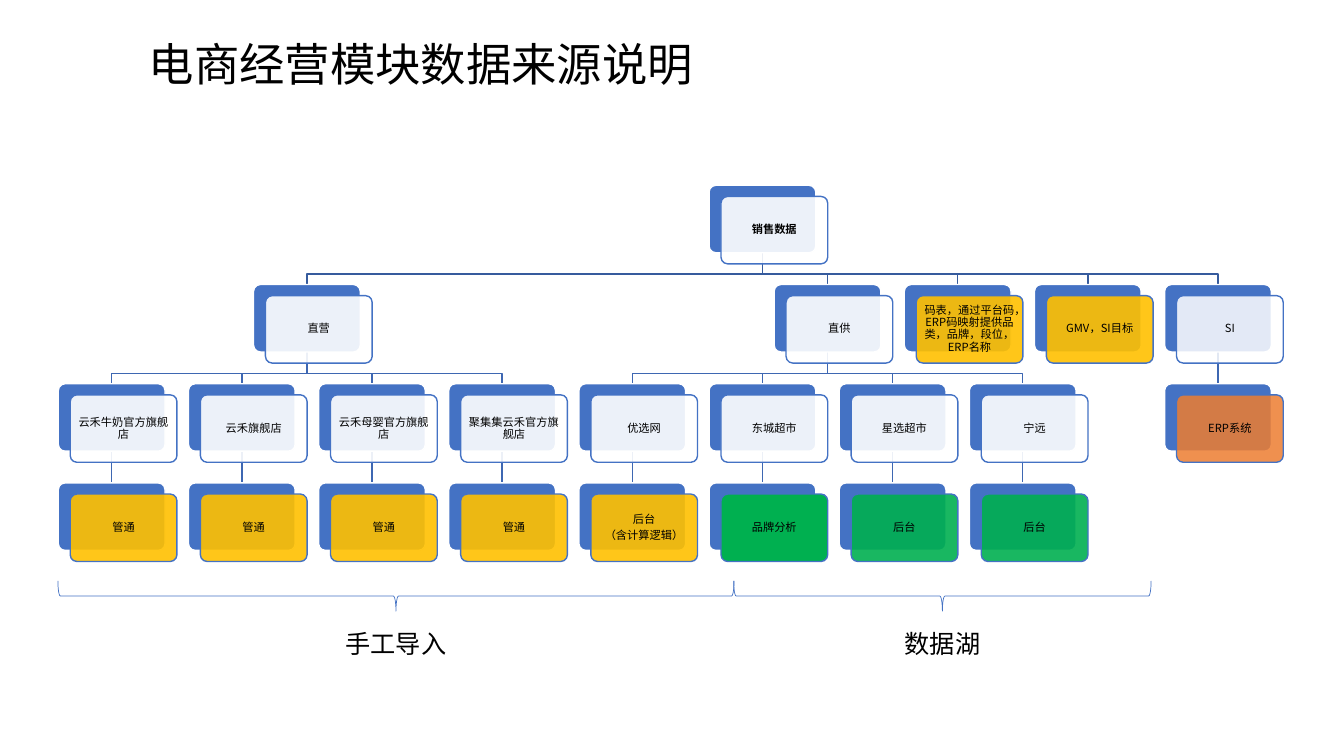
from dataclasses import dataclass
from typing import Iterator, Optional

from lxml import etree
from pptx import Presentation
from pptx.dml import color as dml
from pptx.enum import shapes, text
from pptx.oxml import ns
from pptx.util import Cm, Pt


@dataclass(frozen=True)
class Theme:
    """Colours, font and type sizes of the slide."""
    font: str = "Noto Sans CJK SC"
    ink: str = "000000"
    white: str = "FFFFFF"
    blue: str = "4472C4"
    trunk: str = "365B9D"
    branch: str = "3E67B2"
    manual: str = "FFC000"
    lake: str = "00B050"
    system: str = "ED7D31"
    title_size: float = 32.4
    caption_size: float = 18
    node_size: float = 8


@dataclass(frozen=True)
class Node:
    """A data source; a parent sits midway between its outer children."""
    label: str
    children: tuple["Node", ...] = ()
    leaf_column: float = 0
    fill: str = Theme.white
    opacity: int = 90

    @property
    def column(self) -> float:
        """Return the position counted in column steps."""
        if not self.children:
            return self.leaf_column
        return (self.children[0].column + self.children[-1].column) / 2


@dataclass(frozen=True)
class Span:
    """A brace under the tree, with its caption."""
    label: str
    left: float
    width: float


THEME = Theme()

# Tree grid, in centimetres
TREE_LEFT, TREE_TOP = 1.47, 4.67
COLUMN_STEP, ROW_STEP = 3.28, 2.5
BOX_W, BOX_H = 2.69, 1.7
CARD_DX, CARD_DY = 0.3, 0.28
ELBOW_DROP = 0.54

# Braces, in centimetres
BRACE_TOP, BRACE_DEPTH, CAPTION_TOP = 14.64, 0.76, 15.7


def shop(label: str, column: int, origin: str, fill: str, opacity: int = 90) -> Node:
    """Return a shop with the single origin of its data below it."""
    return Node(label, (Node(origin, (), column, fill, opacity),))


DIRECT_SHOPS = ("云禾牛奶官方旗舰店", "云禾旗舰店", "云禾母婴官方旗舰店", "聚集集云禾官方旗舰店")
SALES = Node("销售数据", (
    Node("直营", tuple(shop(name, column, "管通", THEME.manual)
                     for column, name in enumerate(DIRECT_SHOPS))),
    Node("直供", (
        shop("优选网", 4, "后台\n（含计算逻辑）", THEME.manual),
        shop("东城超市", 5, "品牌分析", THEME.lake, 100),
        shop("星选超市", 6, "后台", THEME.lake),
        shop("宁远", 7, "后台", THEME.lake),
    )),
    Node("码表，通过平台码，ERP码映射提供品类，品牌，段位，ERP名称", (), 6.5, THEME.manual),
    Node("GMV，SI目标", (), 7.5, THEME.manual),
    Node("SI", (Node("ERP系统", (), 8.5, THEME.system, 85),), opacity=85),
))
SPANS = (Span("手工导入", 1.46, 17.04), Span("数据湖", 18.49, 10.52))


def rgb(code: str) -> dml.RGBColor:
    """Return the colour for a hex code."""
    return dml.RGBColor.from_string(code)


def write(shape, content: str, *, size: float, bold: bool = False, align=None,
          anchor=text.MSO_ANCHOR.TOP, spacing: float = 1.0, after: float = 0,
          inset: Optional[float] = None) -> None:
    """Write text into a shape, one paragraph per line."""
    frame = shape.text_frame
    frame.word_wrap = True
    frame.vertical_anchor = anchor
    if inset is not None:
        frame.margin_left = frame.margin_right = Cm(inset)
        frame.margin_top = frame.margin_bottom = Cm(inset)
    frame.text = content
    for paragraph in frame.paragraphs:
        paragraph.alignment = align
        paragraph.line_spacing = spacing
        paragraph.space_after = Pt(after)
        for run in paragraph.runs:
            font = run.font
            font.name, font.size, font.bold = THEME.font, Pt(size), bold
            font.color.rgb = rgb(THEME.ink)
            east_asian = etree.SubElement(run._r.get_or_add_rPr(), ns.qn("a:ea"))
            east_asian.set("typeface", THEME.font)


def add_box(slide, left: float, top: float, fill: str, line: str, opacity: int = 100):
    """Add one rounded box of the tree and return it."""
    box = slide.shapes.add_shape(shapes.MSO_SHAPE.ROUNDED_RECTANGLE,
                                 Cm(left), Cm(top), Cm(BOX_W), Cm(BOX_H))
    box.shadow.inherit = False
    box.adjustments[0] = 0.1
    box.fill.solid()
    box.fill.fore_color.rgb = rgb(fill)
    box.line.color.rgb = rgb(line)
    box.line.width = Pt(1)
    if opacity < 100:
        tint = box._element.spPr.find(ns.qn("a:solidFill"))[0]
        etree.SubElement(tint, ns.qn("a:alpha")).set("val", str(opacity * 1000))
    return box


def corner(node: Node, depth: int) -> tuple[float, float]:
    """Return the left and top of a node's back box."""
    return TREE_LEFT + node.column * COLUMN_STEP, TREE_TOP + depth * ROW_STEP


def walk(node: Node, depth: int = 0) -> Iterator[tuple[Node, int]]:
    """Yield every node of the tree with its depth."""
    yield node, depth
    for child in node.children:
        yield from walk(child, depth + 1)


def add_node(slide, node: Node, depth: int) -> None:
    """Draw a back box and the labelled card over it."""
    left, top = corner(node, depth)
    add_box(slide, left, top, THEME.blue, THEME.white)
    card = add_box(slide, left + CARD_DX, top + CARD_DY, node.fill, THEME.blue, node.opacity)
    write(card, node.label, size=THEME.node_size, bold=depth == 0, inset=0.08,
          align=text.PP_ALIGN.CENTER, anchor=text.MSO_ANCHOR.MIDDLE, spacing=0.9, after=2.8)


def add_link(slide, parent: Node, child: Node, depth: int) -> None:
    """Join a parent to its child, with an elbow where their columns differ."""
    start_left, parent_top = corner(parent, depth)
    end_left, end_y = corner(child, depth + 1)
    start_x, end_x = Cm(start_left + BOX_W / 2), Cm(end_left + BOX_W / 2)
    start_y, end_y = Cm(parent_top + BOX_H), Cm(end_y)
    if parent.column == child.column:
        link = slide.shapes.add_connector(shapes.MSO_CONNECTOR.STRAIGHT,
                                          start_x, start_y, end_x, end_y)
    else:
        bend_y = start_y + Cm(ELBOW_DROP)
        outline = slide.shapes.build_freeform(start_x, start_y)
        outline.add_line_segments([(start_x, bend_y), (end_x, bend_y), (end_x, end_y)],
                                  close=False)
        link = outline.convert_to_shape()
        link.fill.background()
    link.line.color.rgb = rgb(THEME.branch if depth else THEME.trunk)
    link.line.width = Pt(1)
    etree.SubElement(link._element.spPr, ns.qn("a:effectLst"))


def add_span(slide, span: Span) -> None:
    """Draw a brace that opens upward and centre its caption below."""
    centre = span.left + span.width / 2
    brace = slide.shapes.add_shape(
        shapes.MSO_SHAPE.LEFT_BRACE, Cm(centre - BRACE_DEPTH / 2),
        Cm(BRACE_TOP + (BRACE_DEPTH - span.width) / 2), Cm(BRACE_DEPTH), Cm(span.width))
    brace.rotation = 270
    brace.shadow.inherit = False
    brace.fill.background()
    brace.line.color.rgb = rgb(THEME.blue)
    brace.line.width = Pt(0.5)
    width = 0.7 + 0.64 * len(span.label)
    caption = slide.shapes.add_textbox(Cm(centre - width / 2), Cm(CAPTION_TOP), Cm(width), Cm(1.02))
    write(caption, span.label, size=THEME.caption_size, align=text.PP_ALIGN.CENTER)


def main() -> None:
    """Build and save the slide."""
    deck = Presentation()
    deck.slide_width, deck.slide_height = Cm(33.87), Cm(19.05)
    slide = deck.slides.add_slide(deck.slide_layouts[6])
    title = slide.shapes.add_textbox(Cm(3.5), Cm(0.89), Cm(25.53), Cm(1.57))
    write(title, "电商经营模块数据来源说明", size=THEME.title_size,
          anchor=text.MSO_ANCHOR.MIDDLE, spacing=0.9)
    for parent, depth in walk(SALES):
        for child in parent.children:
            add_link(slide, parent, child, depth)
    for node, depth in walk(SALES):
        add_node(slide, node, depth)
    for span in SPANS:
        add_span(slide, span)
    deck.save("out.pptx")


main()
